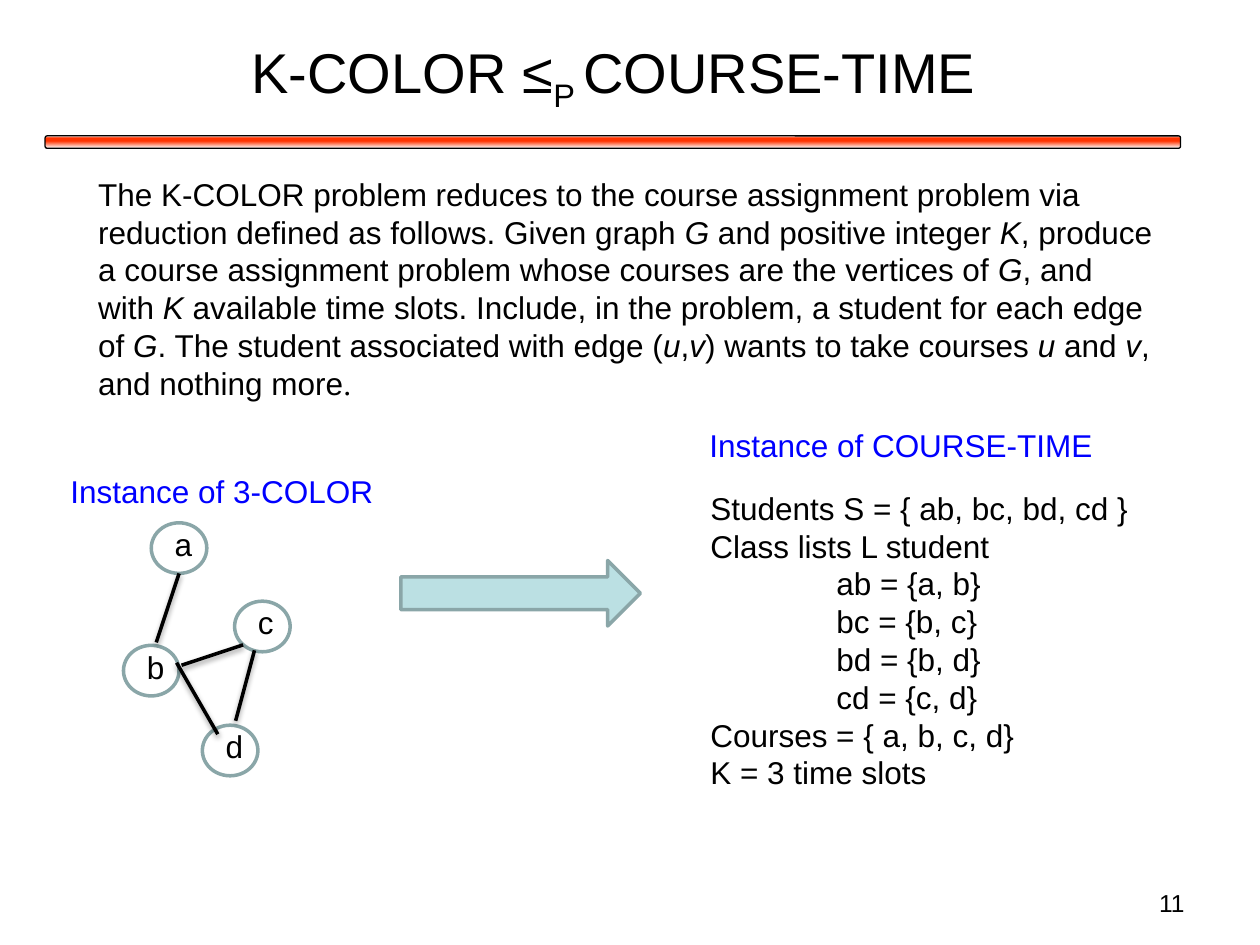
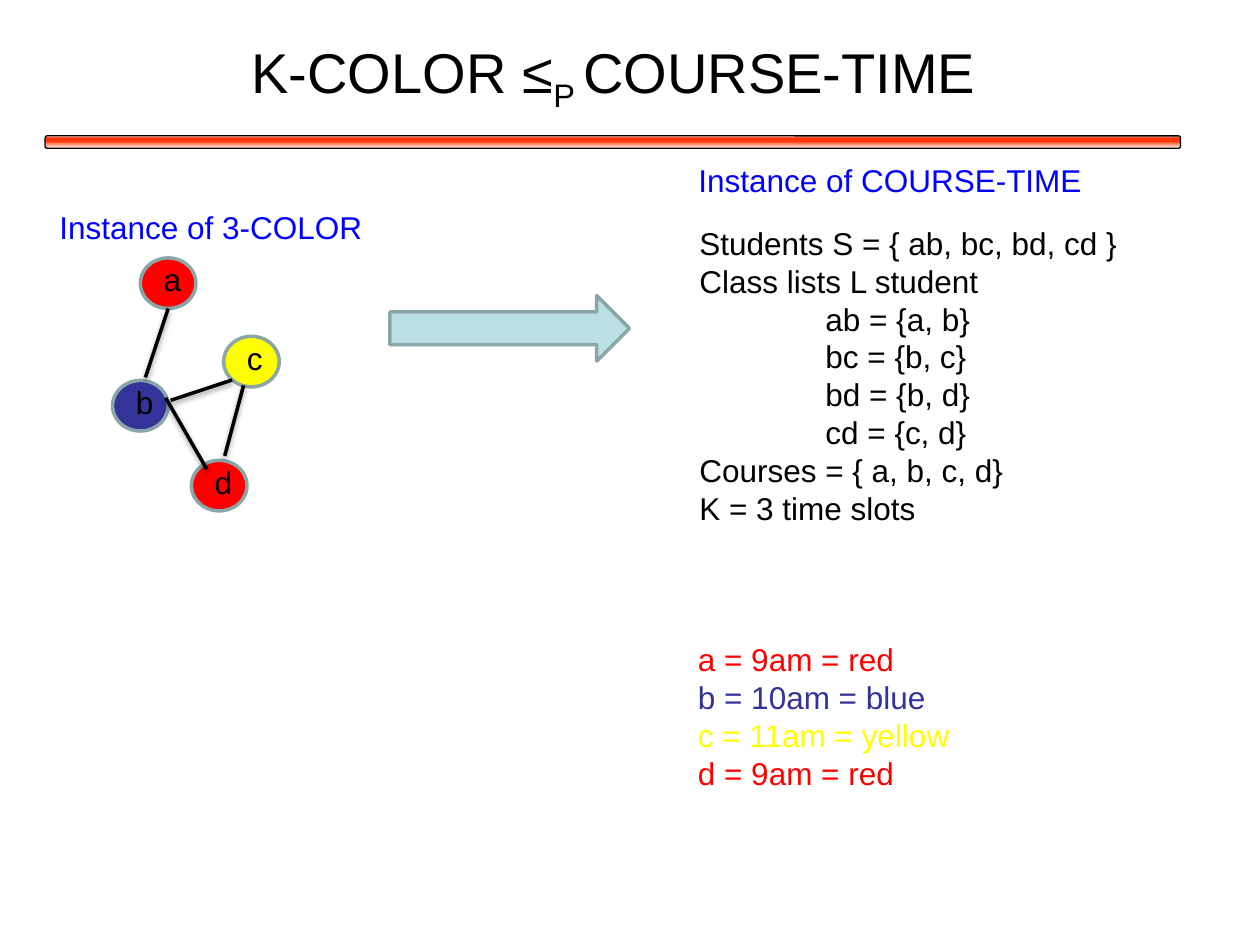
from lxml.etree import SubElement
from pptx import Presentation
from pptx.dml.color import RGBColor
from pptx.enum.shapes import MSO_CONNECTOR, MSO_SHAPE
from pptx.enum.text import MSO_ANCHOR, MSO_AUTO_SIZE, PP_ALIGN
from pptx.oxml.ns import qn
from pptx.util import Cm, Pt

BLACK = RGBColor(0x00, 0x00, 0x00)
WHITE = RGBColor(0xFF, 0xFF, 0xFF)
ORANGE = RGBColor(0xFF, 0x33, 0x00)
HEADING_BLUE = RGBColor(0x00, 0x00, 0xFF)
OUTLINE = RGBColor(0x8A, 0xA6, 0xA8)
ARROW_FILL = RGBColor(0xBB, 0xE0, 0xE3)
RED = RGBColor(0xFF, 0x00, 0x00)
BLUE = RGBColor(0x33, 0x33, 0x99)
YELLOW = RGBColor(0xFF, 0xFF, 0x00)

FONT = "Arial"
BODY_SIZE = 18
BAR_STOPS = [(0, WHITE), (16, ORANGE), (42, ORANGE), (100, WHITE)]

TITLE = [("K-COLOR ≤", 0), ("P ", -25), ("COURSE-TIME", 0)]
PAGE_NUMBER = "11"

# Text between asterisks is set in italics.
REDUCTION = (
    "The K-COLOR problem reduces to the course assignment problem via reduction "
    "defined as follows. Given graph *G* and positive integer *K*, produce a course "
    "assignment problem whose courses are the vertices of *G*, and with *K* available "
    "time slots. Include, in the problem, a student for each edge of *G*. The student "
    "associated with edge (*u*,*v*) wants to take courses *u* and *v*, and nothing more"
)
COURSE_LINES = [
    "Students S = { ab, bc, bd, cd }",
    "Class lists L student",
    "\t\tab = {a, b}",
    "\t\tbc = {b, c}",
    "\t\tbd = {b, d}",
    "\t\tcd = {c, d}",
    "Courses = { a, b, c, d}",
    "K = 3 time slots",
]
SCHEDULE = [
    ("a = 9am = red", RED),
    ("b = 10am = blue", BLUE),
    ("c = 11am = yellow", YELLOW),
    ("d = 9am = red", RED),
]
COLORING = {line[0]: color for line, color in SCHEDULE}

NODE_SIZE = (1.12, 1.02)
NODES = {"a": (1.88, 1.14), "c": (3.56, 2.72), "b": (1.32, 3.61), "d": (2.91, 5.22)}
EDGES = [
    ((2.44, 2.16), (1.98, 3.55)),
    ((3.73, 3.6), (2.49, 4.01)),
    ((3.96, 3.71), (3.58, 5.13)),
    ((3.22, 5.4), (2.39, 3.96)),
]


def style(span, color=BLACK, size=BODY_SIZE, font=FONT):
    span.font.name = font
    span.font.size = Pt(size)
    span.font.color.rgb = color


def add_box(page, place, wrap=True):
    box = page.shapes.add_textbox(*map(Cm, place))
    box.text_frame.word_wrap = wrap
    return box.text_frame


def add_lines(page, place, lines, colors):
    frame = add_box(page, place, wrap=False)
    frame.auto_size = MSO_AUTO_SIZE.SHAPE_TO_FIT_TEXT
    frame.text = "\n".join(lines)
    for para, color in zip(frame.paragraphs, colors):
        style(para.runs[0], color)


def add_outlined(page, kind, place, fill, line=OUTLINE, width=2):
    shape = page.shapes.add_shape(kind, *map(Cm, place))
    shape.shadow.inherit = False
    if fill is None:
        shape.fill.background()
    else:
        shape.fill.solid()
        shape.fill.fore_color.rgb = fill
    shape.line.color.rgb = line
    shape.line.width = Pt(width)
    return shape


def add_bar(page):
    bar = add_outlined(page, MSO_SHAPE.ROUNDED_RECTANGLE, (0.91, 2.74, 22.89, 0.25),
                       ORANGE, BLACK, 0.75)
    bar.fill.gradient()
    bar.fill.gradient_angle = 270
    stops = bar._element.spPr.find(qn("a:gradFill")).find(qn("a:gsLst"))
    for stop in list(stops):
        stops.remove(stop)
    for position, color in BAR_STOPS:
        stop = SubElement(stops, qn("a:gs"), pos=str(position * 1000))
        SubElement(stop, qn("a:srgbClr"), val=str(color))


def add_title(page):
    frame = add_box(page, (0.94, 0.28, 22.86, 2.51))
    frame.vertical_anchor = MSO_ANCHOR.MIDDLE
    para = frame.paragraphs[0]
    para.alignment = PP_ALIGN.CENTER
    for text, baseline in TITLE:
        span = para.add_run()
        span.text = text
        style(span, size=32)
        if baseline:
            span._r.get_or_add_rPr().set("baseline", str(baseline * 1000))


def add_edge(page, start, end):
    edge = page.shapes.add_connector(MSO_CONNECTOR.STRAIGHT, *map(Cm, start + end))
    edge.line.color.rgb = BLACK
    edge.line.width = Pt(2)
    effects = SubElement(edge._element.spPr, qn("a:effectLst"))
    shadow = SubElement(effects, qn("a:outerShdw"), blurRad="40000", dist="20000",
                        dir="5400000", rotWithShape="0")
    tint = SubElement(shadow, qn("a:srgbClr"), val=str(BLACK))
    SubElement(tint, qn("a:alpha"), val="38000")


def add_instances(page, left, top, coloring):
    def at(x, y):
        return left + x, top + y

    for name, corner in NODES.items():
        x, y = at(*corner)
        add_outlined(page, MSO_SHAPE.OVAL, (x, y, *NODE_SIZE), coloring.get(name))
        add_lines(page, (x + 0.22, y - 0.08, 0.86, 1.02), [name], [BLACK])
    for start, end in EDGES:
        add_edge(page, at(*start), at(*end))
    add_lines(page, (*at(12.9, 0.33), 9.02, 6.4), COURSE_LINES, [BLACK] * len(COURSE_LINES))
    add_lines(page, (*at(0, 0), 6.68, 1.02), ["Instance of 3-COLOR"], [HEADING_BLUE])
    add_lines(page, (*at(12.88, -0.94), 8.31, 1.02), ["Instance of COURSE-TIME"],
              [HEADING_BLUE])
    add_outlined(page, MSO_SHAPE.RIGHT_ARROW, (*at(6.91, 1.9), 4.83, 1.32), ARROW_FILL)


def add_reduction(page):
    para = add_box(page, (1.73, 3.4, 21.79, 4.88)).paragraphs[0]
    for index, text in enumerate(REDUCTION.split("*")):
        span = para.add_run()
        span.text = text
        style(span)
        span.font.italic = index % 2 == 1
    period = para.add_run()
    period.text = "."
    style(period, font="Times New Roman")


def add_page_number(page):
    para = add_box(page, (18.21, 17.78, 5.92, 0.89)).paragraphs[0]
    para.text = PAGE_NUMBER
    para.alignment = PP_ALIGN.RIGHT
    style(para.runs[0], size=14)


def add_page(deck):
    page = deck.slides.add_slide(deck.slide_layouts[6])
    add_bar(page)
    add_title(page)
    return page


def main():
    deck = Presentation()
    deck.slide_width, deck.slide_height = Cm(25.4), Cm(19.05)

    page = add_page(deck)
    add_page_number(page)
    add_reduction(page)
    add_instances(page, 1.17, 9.4, {})

    page = add_page(deck)
    add_instances(page, 0.95, 4.06, COLORING)
    add_lines(page, (13.82, 12.78, 5.64, 3.33), *zip(*SCHEDULE))

    deck.save("out.pptx")


if __name__ == "__main__":
    main()
